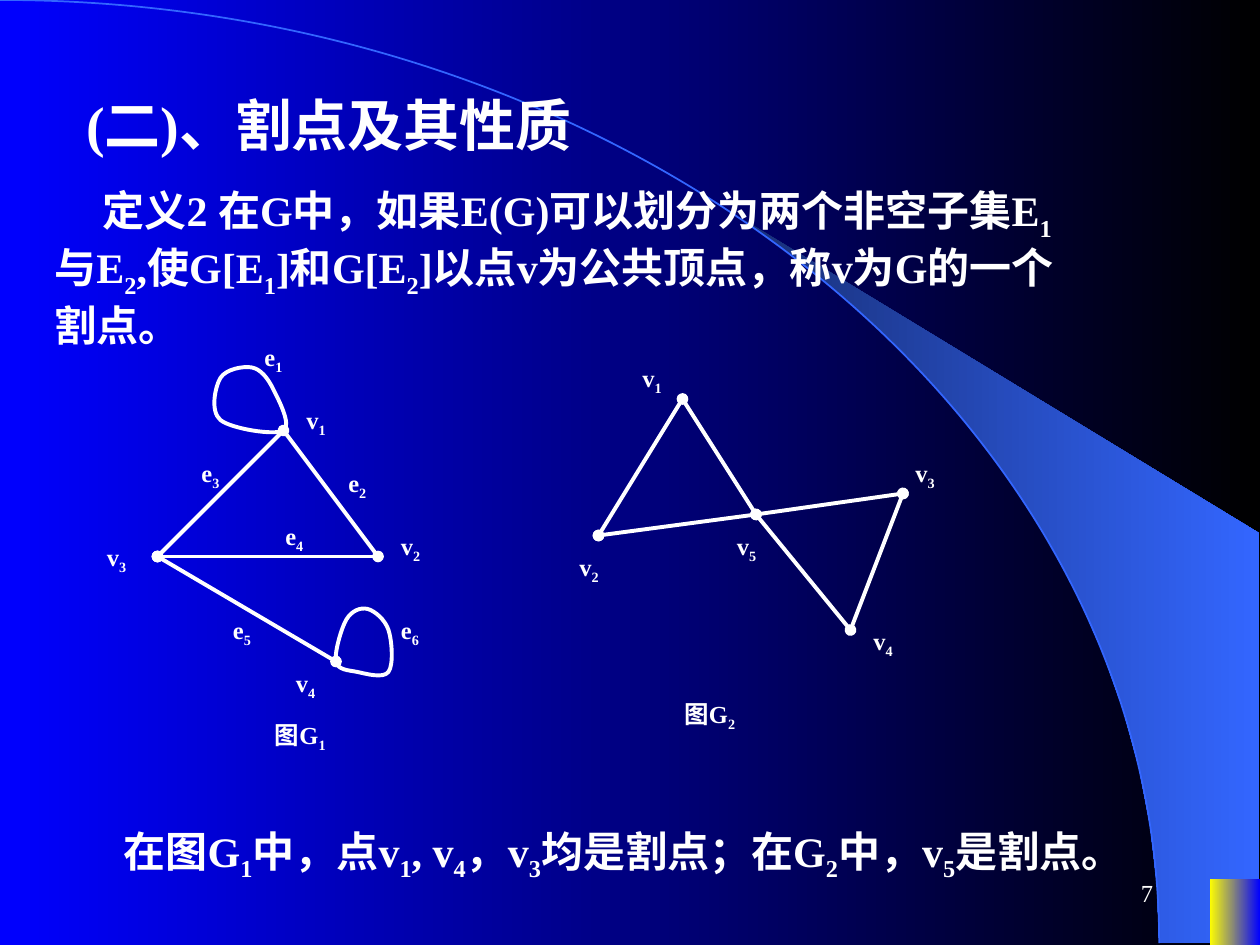
import dataclasses
import math

import lxml.etree
import pptx
import pptx.dml.color
import pptx.enum.text
import pptx.oxml.ns
import pptx.util

COLS, ROWS = 120, 90
CELL = pptx.util.Inches(10) // COLS
ANCHOR = pptx.enum.text.MSO_ANCHOR
qn = pptx.oxml.ns.qn


def rgb(value):
    return pptx.dml.color.RGBColor.from_string(value)


@dataclasses.dataclass(frozen=True)
class Theme:
    font: str = "Times New Roman"
    ink: str = "FFFFFF"
    arc: str = "3366FF"
    background: tuple = ("0000FF", "000000")
    wedge: tuple = ("182F76", "3366FF")
    corner: tuple = ("FFFF00", "0000FF")
    title: int = 32
    body: int = 24
    label: int = 14
    edge: float = 2.25
    hairline: float = 1


THEME = Theme()


@dataclasses.dataclass(frozen=True)
class Graph:
    """All points are in grid cells from the top left of the graph's box."""
    vertices: dict
    edges: list  # (vertex, vertex, has dots at its ends)
    loops: list
    labels: dict
    caption: tuple


G1 = Graph(
    vertices={"v1": (18, 9), "v2": (27, 21), "v3": (6, 21), "v4": (23, 31)},
    edges=[("v1", "v3", True), ("v3", "v2", True), ("v1", "v2", False),
           ("v3", "v4", True)],
    loops=[[(18, 9), (12, 8), (12, 4), (15, 3), (17, 5)],
           [(23, 31), (24, 27), (26, 26), (28, 28), (28, 32), (25, 32)]],
    labels={"v_1": (19, 6), "v_2": (28, 18), "v_3": (0, 19), "v_4": (18, 31),
            "e_3": (9, 11), "e_1": (15, 0), "e_2": (23, 12), "e_4": (17, 17),
            "e_5": (12, 26), "e_6": (28, 26)},
    caption=("图G_1", (16, 36)),
)
G2 = Graph(
    vertices={"v1": (11, 4), "v2": (3, 17), "v3": (32, 13), "v4": (27, 26),
              "v5": (18, 15)},
    edges=[("v1", "v2", True), ("v1", "v5", False), ("v2", "v5", True),
           ("v5", "v3", True), ("v5", "v4", False), ("v3", "v4", True)],
    loops=[],
    labels={"v_1": (6, 0), "v_3": (32, 9), "v_2": (0, 18), "v_4": (28, 25),
            "v_5": (15, 16)},
    caption=("图G_2", (10, 32)),
)


def cells(*values):
    return [pptx.util.Emu(round(v * CELL)) for v in values]


def fill_gradient(fill, colors):
    fill.gradient()
    fill.gradient_angle = 0
    for stop, color in zip(fill.gradient_stops, colors):
        stop.color.rgb = rgb(color)


def set_line(line, color, width):
    line.color.rgb = rgb(color)
    line.width = pptx.util.Pt(width)


def add_outline(shapes, points, close):
    start, *rest = [cells(*point) for point in points]
    builder = shapes.build_freeform(*start)
    builder.add_line_segments(rest, close=close)
    sp = builder.convert_to_shape()
    sp.shadow.inherit = False
    return sp


def add_curve(shapes, points, close, color, width):
    """Unfilled Bezier curve: a start, then two controls and an end each."""
    sp = add_outline(shapes, points, close)
    sp.fill.background()
    set_line(sp.line, color, width)
    lines = list(sp._element.iter(qn("a:lnTo")))
    for i in range(0, len(lines), 3):
        curve = lxml.etree.Element(qn("a:cubicBezTo"))
        lines[i].addprevious(curve)
        for line in lines[i:i + 3]:
            curve.append(line[0])
            line.getparent().remove(line)


def write(sp, text, size, bold=True, indent=0, before=0):
    """Fill sp with text in which "_" lowers the one character after it."""
    tf = sp.text_frame
    tf.word_wrap = True
    p = tf.paragraphs[0]
    p.font.name, p.font.size, p.font.bold = THEME.font, pptx.util.Pt(size), bold
    p.font.color.rgb = rgb(THEME.ink)
    p.space_before = pptx.util.Pt(before)
    if indent:
        p._p.get_or_add_pPr().set("indent", str(cells(indent)[0]))
    first, *others = text.split("_")
    p.add_run().text = first
    for part in others:
        r = p.add_run()
        r.text = part[0]
        r._r.get_or_add_rPr().set("baseline", "-25000")
        if part[1:]:
            p.add_run().text = part[1:]
    return p


def add_text(shapes, box, text, size, **style):
    sp = shapes.add_textbox(*cells(*box))
    write(sp, text, size, **style)
    return sp


def smooth_loop(knots):
    """Bezier points of the closed Catmull-Rom curve through the knots."""
    n = len(knots)
    points = [knots[0]]
    for i in range(n):
        a, b, c, d = (knots[(i + k) % n] for k in (-1, 0, 1, 2))
        points += [tuple(q + (r - p) / 6 for p, q, r in zip(a, b, c)),
                   tuple(q - (r - p) / 6 for p, q, r in zip(b, c, d)), c]
    return points


def add_edge(shapes, start, end, dots):
    line = shapes.add_connector(1, *cells(*start, *end))
    set_line(line.line, THEME.ink, THEME.edge)
    if dots:
        ln = line.line._get_or_add_ln()
        for tag in ("a:headEnd", "a:tailEnd"):
            lxml.etree.SubElement(ln, qn(tag), type="oval")
    lxml.etree.SubElement(line._element.spPr, qn("a:effectLst"))


def add_graph(s, left, top, graph):
    shapes = s.shapes.add_group_shape().shapes

    def place(point):
        return left + point[0], top + point[1]

    for a, b, dots in graph.edges:
        add_edge(shapes, place(graph.vertices[a]), place(graph.vertices[b]), dots)
    for knots in graph.loops:
        add_curve(shapes, [place(q) for q in smooth_loop(knots)], True,
                  THEME.ink, THEME.edge)
    for text, point in graph.labels.items():
        add_text(shapes, (*place(point), 5, 4.4), text, THEME.label)
    text, point = graph.caption
    add_text(shapes, (*place(point), 12, 4.4), text, THEME.label)


def add_backdrop(s, width, height):
    fill_gradient(s.background.fill, THEME.background)
    rx, ry = 0.92 * width, 0.998 * height
    right = 0.999 * width

    first, steps = 39.8, 14
    angles = [math.radians(first + (90 - first) * i / steps)
              for i in range(steps + 1)]
    rim = [(rx * math.sin(a), ry * (1 - math.cos(a))) for a in angles]
    wedge = add_outline(
        s.shapes, rim + [(right, ry), (right, 0.564 * height)], True)
    fill_gradient(wedge.fill, THEME.wedge)
    wedge.line.fill.background()

    quarter = [(0, 0), (0.55 * rx, 0), (rx, 0.45 * ry), (rx, ry)]
    add_curve(s.shapes, quarter, False, THEME.arc, THEME.hairline)

    w, h = 0.04 * width, 0.07 * height
    corner = s.shapes.add_shape(1, *cells(width - w, height - h, w, h))
    corner.shadow.inherit = False
    fill_gradient(corner.fill, THEME.corner)
    corner.line.fill.background()


def add_title(s, box, text):
    sp = s.shapes.title
    sp.left, sp.top, sp.width, sp.height = cells(*box)
    p = write(sp, text, THEME.title, before=20)
    p.alignment = pptx.enum.text.PP_ALIGN.LEFT
    sp.text_frame.vertical_anchor = ANCHOR.TOP
    sp.text_frame.auto_size = pptx.enum.text.MSO_AUTO_SIZE.NONE
    s.shapes._spTree.append(sp._element)  # in front of the backdrop


def add_page_number(s, box, number):
    sp = add_text(s.shapes, box, number, THEME.label, bold=False)
    sp.text_frame.vertical_anchor = ANCHOR.MIDDLE
    sp.text_frame.paragraphs[0].alignment = pptx.enum.text.PP_ALIGN.RIGHT


def main():
    prs = pptx.Presentation()
    prs.slide_width, prs.slide_height = cells(COLS, ROWS)
    s = prs.slides.add_slide(prs.slide_layouts[5])
    add_backdrop(s, COLS, ROWS)
    add_page_number(s, (86, 82, 25, 6), "7")
    add_title(s, (7, 8, 88, 7.7), "(二)、割点及其性质")
    body = {"size": THEME.body, "indent": 4.6, "before": 15}
    add_text(s.shapes, (4, 17, 101, 16.3),
             "定义2 在G中，如果E(G)可以划分为两个非空子集E_1与E_2,使G[E_1]和G[E_2]"
             "以点v为公共顶点，称v为G的一个割点。", **body)
    add_graph(s, 9, 32, G1)
    add_graph(s, 54, 34, G2)
    add_text(s.shapes, (6, 78, 107, 6.7),
             "在图G_1中，点v_1, v_4，v_3均是割点；在G_2中，v_5是割点。", **body)
    prs.save("out.pptx")


if __name__ == "__main__":
    main()
